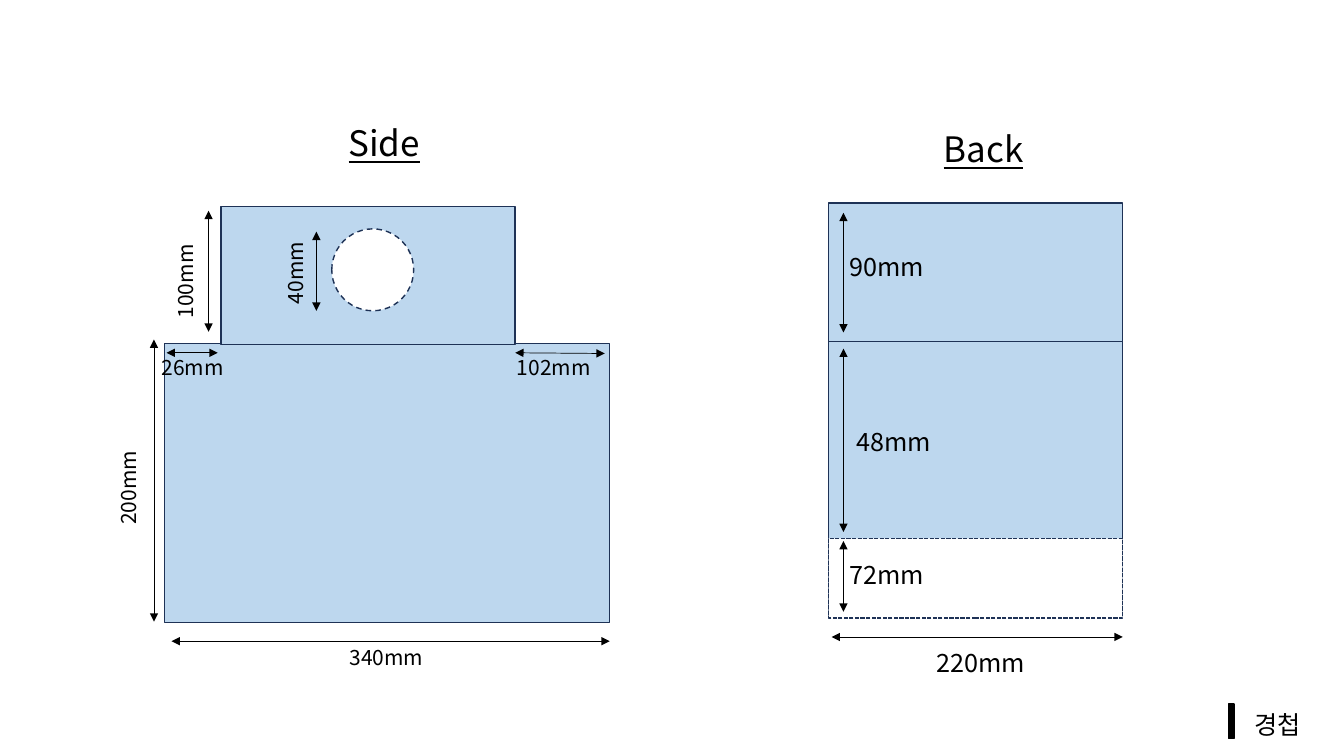
from dataclasses import dataclass

from lxml import etree
from pptx import Presentation
from pptx.dml.color import RGBColor
from pptx.enum.dml import MSO_LINE
from pptx.enum.shapes import MSO_CONNECTOR, MSO_SHAPE
from pptx.enum.text import MSO_ANCHOR, MSO_AUTO_SIZE, PP_ALIGN
from pptx.oxml.ns import qn
from pptx.util import Pt

RECTANGLE, OVAL = MSO_SHAPE.RECTANGLE, MSO_SHAPE.OVAL
STRAIGHT = MSO_CONNECTOR.STRAIGHT
DASH, SHORT_DASH = MSO_LINE.DASH, MSO_LINE.SQUARE_DOT
CENTER, LEFT = PP_ALIGN.CENTER, PP_ALIGN.LEFT
MIDDLE, FIXED = MSO_ANCHOR.MIDDLE, MSO_AUTO_SIZE.NONE


@dataclass(frozen=True)
class Theme:
    font: str = "Noto Sans CJK KR"
    ink: RGBColor = RGBColor(0, 0, 0)
    panel: RGBColor = RGBColor(0xBD, 0xD7, 0xEE)
    edge: RGBColor = RGBColor(0x1E, 0x32, 0x56)
    paper: RGBColor = RGBColor(0xFF, 0xFF, 0xFF)
    heading: int = 25
    large: int = 18
    small: int = 15


THEME = Theme()


def write_text(shape, text, size, align=CENTER, underline=None):
    frame = shape.text_frame
    frame.text = text
    frame_format = {
        "word_wrap": True, "auto_size": FIXED, "vertical_anchor": MIDDLE,
        "margin_left": 0, "margin_right": 0, "margin_top": 0, "margin_bottom": 0,
    }
    for name, value in frame_format.items():
        setattr(frame, name, value)
    para = frame.paragraphs[0]
    para.alignment = align
    para.line_spacing = 1.0
    span = para.runs[0]
    font_format = {"name": THEME.font, "size": Pt(size), "underline": underline}
    for name, value in font_format.items():
        setattr(span.font, name, value)
    span.font.color.rgb = THEME.ink
    # Korean glyphs take the East Asian typeface
    latin = span.font._element.find(qn("a:latin"))
    east_asian = etree.Element(qn("a:ea"), typeface=THEME.font)
    latin.addnext(east_asian)


def add_label(page, text, size, center, rotation=0, underline=None):
    """Place a text box by its centre, so that turning it keeps its place."""
    width, height = 100, 36
    x, y = center
    box = page.shapes.add_textbox(
        Pt(x - width / 2), Pt(y - height / 2), Pt(width), Pt(height))
    box.rotation = rotation
    write_text(box, text, size, underline=underline)


deck = Presentation()
deck.slide_width, deck.slide_height = Pt(960), Pt(540)
page = deck.slides.add_slide(deck.slide_layouts[5])

title = page.shapes.title
title_place = {"left": 896, "top": 503, "width": 50, "height": 29}
for name, value in title_place.items():
    setattr(title, name, Pt(value))
write_text(title, "경첩", THEME.large, LEFT)

# Panels: preset, left, top, width, height, fill, line colour, dash
back_left, panel_width = 592, 210
panels = [
    (RECTANGLE, back_left, 241, panel_width, 200, THEME.panel, THEME.edge, None),
    (RECTANGLE, back_left, 145, panel_width, 99, THEME.panel, THEME.edge, None),
    (RECTANGLE, back_left, 384.5, panel_width, 57, THEME.paper, THEME.edge, SHORT_DASH),
    (RECTANGLE, 117.5, 245.5, 318, 199, THEME.panel, THEME.edge, None),
    (RECTANGLE, 158, 147.5, panel_width, 98.5, THEME.panel, THEME.edge, None),
    (OVAL, 237, 163.5, 58.5, 58.5, THEME.paper, THEME.edge, DASH),
    (RECTANGLE, 877.5, 503, 4, 24.5, THEME.ink, THEME.ink, None),
]
for preset, left, top, width, height, fill, edge, dash in panels:
    panel = page.shapes.add_shape(preset, Pt(left), Pt(top), Pt(width), Pt(height))
    panel.shadow.inherit = False
    panel.fill.solid()
    panel.fill.fore_color.rgb = fill
    panel.line.color.rgb = edge
    panel.line.width = Pt(1)
    if dash:
        panel.line.dash_style = dash

for text, center in [("Side", (274.5, 102)), ("Back", (702.5, 106))]:
    add_label(page, text, THEME.heading, center, underline=True)

# Dimensions: text, size, arrow start, arrow end, label centre, label rotation
back_x = 602.5
dimensions = [
    ("90mm", THEME.large, (back_x, 237.5), (back_x, 152), (633.5, 190.5), 0),
    ("48mm", THEME.large, (back_x, 380), (back_x, 249), (638.5, 315.5), 0),
    ("72mm", THEME.large, (back_x, 437), (back_x, 386.5), (633.5, 410.5), 0),
    ("220mm", THEME.large, (802, 455), (594, 455), (700.5, 473), 0),
    ("340mm", THEME.small, (435.5, 458), (122.5, 458), (276, 469.5), 0),
    ("200mm", THEME.small, (110, 444), (110, 242.5), (91.5, 348.5), 270),
    ("100mm", THEME.small, (149, 237), (149, 150.5), (132, 201), 270),
    ("26mm", THEME.small, (155.5, 252), (119, 252), (137.5, 262), 0),
    ("102mm", THEME.small, (432, 252.5), (368, 252), (395.5, 262), 0),
    ("40mm", THEME.small, (226, 222), (226, 165.5), (210.5, 195), 270),
]
for text, size, start, end, center, rotation in dimensions:
    arrow = page.shapes.add_connector(STRAIGHT, *map(Pt, start + end))
    arrow.line.color.rgb = THEME.ink
    arrow.line.width = Pt(0.5)
    outline = arrow.line._get_or_add_ln()
    for tag in ("a:headEnd", "a:tailEnd"):
        etree.SubElement(outline, qn(tag), type="triangle")
    etree.SubElement(outline.getparent(), qn("a:effectLst"))
    add_label(page, text, size, center, rotation)

deck.save("out.pptx")
